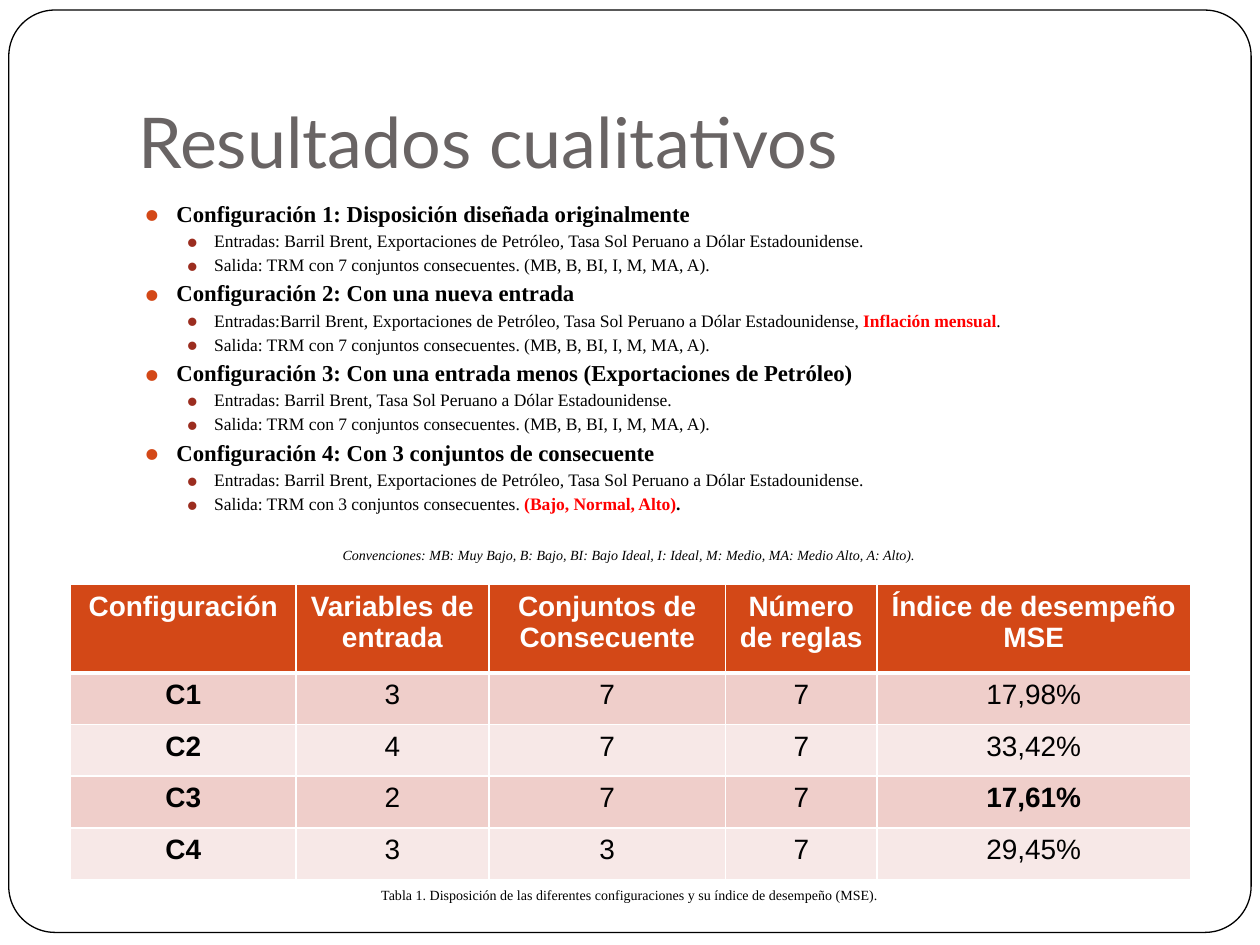
from dataclasses import dataclass

from lxml.etree import SubElement
from pptx import Presentation
from pptx.dml.color import RGBColor
from pptx.enum.shapes import MSO_SHAPE
from pptx.enum.text import MSO_ANCHOR, MSO_AUTO_SIZE, PP_ALIGN
from pptx.oxml.ns import qn
from pptx.util import Inches, Pt


@dataclass(frozen=True)
class Theme:
    black: str = "000000"
    white: str = "FFFFFF"
    heading: str = "696464"
    accent: str = "D34817"
    sub_bullet: str = "9B2D1F"
    highlight: str = "FF0000"
    odd_row: str = "EFCECA"
    even_row: str = "F7E8E7"
    title_font: str = "Lato"
    body_font: str = "Times New Roman"
    table_font: str = "Arial"
    title_size: int = 40
    topic_size: int = 13
    detail_size: int = 10
    table_size: int = 16
    note_size: int = 8


@dataclass(frozen=True)
class Configuration:
    heading: str
    inputs: str
    output: str
    new_input: str = ""
    new_output: str = ""


@dataclass(frozen=True)
class Level:
    margin: float
    hanging: float
    bullet: str


@dataclass(frozen=True)
class Note:
    text: str
    left: float
    top: float
    width: float
    height: float
    italic: bool = False


THEME = Theme()
TOPIC = Level(0.3, 0.24, THEME.accent)
DETAIL = Level(0.6, 0.21, THEME.sub_bullet)

ALL_INPUTS = "Barril Brent, Exportaciones de Petróleo, Tasa Sol Peruano a Dólar Estadounidense"
SEVEN_SETS = "Salida: TRM con 7 conjuntos consecuentes. (MB, B, BI, I, M, MA, A)."
CONFIGURATIONS = [
    Configuration("Configuración 1: Disposición diseñada originalmente",
                  f"Entradas: {ALL_INPUTS}.", SEVEN_SETS),
    Configuration("Configuración 2: Con una nueva entrada",
                  f"Entradas:{ALL_INPUTS}, ", SEVEN_SETS, new_input="Inflación mensual"),
    Configuration("Configuración 3: Con una entrada menos (Exportaciones de Petróleo)",
                  "Entradas: Barril Brent, Tasa Sol Peruano a Dólar Estadounidense.", SEVEN_SETS),
    Configuration("Configuración 4: Con 3 conjuntos de consecuente",
                  f"Entradas: {ALL_INPUTS}.", "Salida: TRM con 3 conjuntos consecuentes. ",
                  new_output="(Bajo, Normal, Alto)"),
]

RESULTS = [
    ["Configuración", "Variables de entrada", "Conjuntos de Consecuente",
     "Número de reglas", "Índice de desempeño\nMSE"],
    ["C1", "3", "7", "7", "17,98%"],
    ["C2", "4", "7", "7", "33,42%"],
    ["C3", "2", "7", "7", "17,61%"],
    ["C4", "3", "3", "7", "29,45%"],
]
BEST_INDEX = "17,61%"
COLUMN_WIDTHS = [1.79, 1.53, 1.88, 1.2, 2.49]
ROW_HEIGHTS = [0.7] + [0.41] * 4

NOTES = [
    Note("Convenciones: MB: Muy Bajo, B: Bajo, BI: Bajo Ideal, I: Ideal, M: Medio, "
         "MA: Medio Alto, A: Alto).", 0.36, 4.27, 9.27, 0.47, italic=True),
    Note("Tabla 1. Disposición de las diferentes configuraciones y su índice de desempeño (MSE).",
         0.56, 6.97, 8.88, 0.36),
]


def add_text(paragraph, text: str, *, size: int, font: str = THEME.body_font,
             color: str = THEME.black, bold: bool = False, italic: bool = False) -> None:
    run = paragraph.add_run()
    run.text = text
    run.font.size = Pt(size)
    run.font.name = font
    run.font.color.rgb = RGBColor.from_string(color)
    run.font.bold = bold
    run.font.italic = italic


def place(shape, left: float, top: float, width: float, height: float) -> None:
    shape.left, shape.top = Inches(left), Inches(top)
    shape.width, shape.height = Inches(width), Inches(height)


def add_frame(slide) -> None:
    frame = slide.shapes.add_shape(MSO_SHAPE.ROUNDED_RECTANGLE, Inches(0.07), Inches(0.08),
                                   Inches(9.86), Inches(7.32))
    frame.adjustments[0] = 0.05
    frame.shadow.inherit = False
    frame.fill.solid()
    frame.fill.fore_color.rgb = RGBColor.from_string(THEME.white)
    frame.line.color.rgb = RGBColor.from_string(THEME.black)
    frame.line.width = Pt(0.75)
    slide.shapes._spTree.insert(2, frame._element)


def add_title(slide) -> None:
    title = slide.shapes.title
    place(title, 1, 0.3, 8.5, 1.25)
    title.text_frame.vertical_anchor = MSO_ANCHOR.BOTTOM
    title.text_frame.margin_bottom = Inches(0.1)
    title.text_frame.auto_size = MSO_AUTO_SIZE.NONE
    heading = title.text_frame.paragraphs[0]
    heading.alignment = PP_ALIGN.LEFT
    add_text(heading, "Resultados cualitativos", size=THEME.title_size,
             font=THEME.title_font, color=THEME.heading)


def format_bullet(paragraph, level: Level) -> None:
    paragraph.level = 0 if level is TOPIC else 1
    paragraph.line_spacing = 1.15
    paragraph.space_before = Pt(0)
    properties = paragraph._p.get_or_add_pPr()
    properties.set("marL", str(Inches(level.margin)))
    properties.set("indent", str(-Inches(level.hanging)))
    color = SubElement(properties, qn("a:buClr"))
    SubElement(color, qn("a:srgbClr"), val=level.bullet)
    SubElement(properties, qn("a:buSzPct"), val="85000")
    SubElement(properties, qn("a:buFont"), typeface="Noto Sans Symbols")
    SubElement(properties, qn("a:buChar"), char="⚫")


def add_detail(paragraph, text: str, news: str, bold_stop: bool) -> None:
    format_bullet(paragraph, DETAIL)
    add_text(paragraph, text, size=THEME.detail_size)
    if news:
        add_text(paragraph, news, size=THEME.detail_size, color=THEME.highlight, bold=True)
        add_text(paragraph, ".", size=THEME.detail_size, bold=bold_stop)


def add_configurations(slide) -> None:
    body = slide.placeholders[1]
    place(body, 1, 1.5, 8.5, 3.24)
    content = body.text_frame
    content.auto_size = MSO_AUTO_SIZE.NONE
    for index, item in enumerate(CONFIGURATIONS):
        topic = content.add_paragraph() if index else content.paragraphs[0]
        format_bullet(topic, TOPIC)
        add_text(topic, item.heading, size=THEME.topic_size, bold=True)
        add_detail(content.add_paragraph(), item.inputs, item.new_input, bold_stop=False)
        add_detail(content.add_paragraph(), item.output, item.new_output, bold_stop=True)


def set_borders(cell, top: int, bottom: int) -> None:
    properties = cell._tc.get_or_add_tcPr()
    widths = {"a:lnL": 1, "a:lnR": 1, "a:lnT": top, "a:lnB": bottom}
    for position, (side, width) in enumerate(widths.items()):
        border = SubElement(properties, qn(side), w=str(Pt(width)))
        fill = SubElement(border, qn("a:solidFill"))
        SubElement(fill, qn("a:srgbClr"), val=THEME.white)
        properties.insert(position, border)


def fill_cell(cell, text: str, row: int, column: int) -> None:
    header = row == 0
    band = THEME.odd_row if row % 2 else THEME.even_row
    cell.fill.solid()
    cell.fill.fore_color.rgb = RGBColor.from_string(THEME.accent if header else band)
    for index, line in enumerate(text.split("\n")):
        paragraph = cell.text_frame.add_paragraph() if index else cell.text_frame.paragraphs[0]
        paragraph.alignment = PP_ALIGN.CENTER
        add_text(paragraph, line, size=THEME.table_size, font=THEME.table_font,
                 color=THEME.white if header else THEME.black,
                 bold=header or column == 0 or text == BEST_INDEX)
    if header:
        set_borders(cell, top=1, bottom=3)
    elif row == 1 and column in (2, 3):
        set_borders(cell, top=3, bottom=1)


def add_results(slide) -> None:
    results = slide.shapes.add_table(len(RESULTS), len(COLUMN_WIDTHS), Inches(0.56), Inches(4.64),
                                     Inches(sum(COLUMN_WIDTHS)), Inches(sum(ROW_HEIGHTS))).table
    for column, width in zip(results.columns, COLUMN_WIDTHS):
        column.width = Inches(width)
    for row, (values, height) in enumerate(zip(RESULTS, ROW_HEIGHTS)):
        results.rows[row].height = Inches(height)
        for column, value in enumerate(values):
            fill_cell(results.cell(row, column), value, row, column)


def add_note(slide, note: Note) -> None:
    box = slide.shapes.add_textbox(Inches(note.left), Inches(note.top),
                                   Inches(note.width), Inches(note.height))
    content = box.text_frame
    content.word_wrap = True
    content.margin_top = content.margin_bottom = Inches(0.1)
    content.paragraphs[0].alignment = PP_ALIGN.CENTER
    add_text(content.paragraphs[0], note.text, size=THEME.note_size, italic=note.italic)


def main() -> None:
    deck = Presentation()
    deck.slide_width, deck.slide_height = Inches(10), Inches(7.5)
    slide = deck.slides.add_slide(deck.slide_layouts[1])
    add_frame(slide)
    add_title(slide)
    add_configurations(slide)
    add_results(slide)
    for note in NOTES:
        add_note(slide, note)
    deck.save("out.pptx")


if __name__ == "__main__":
    main()
